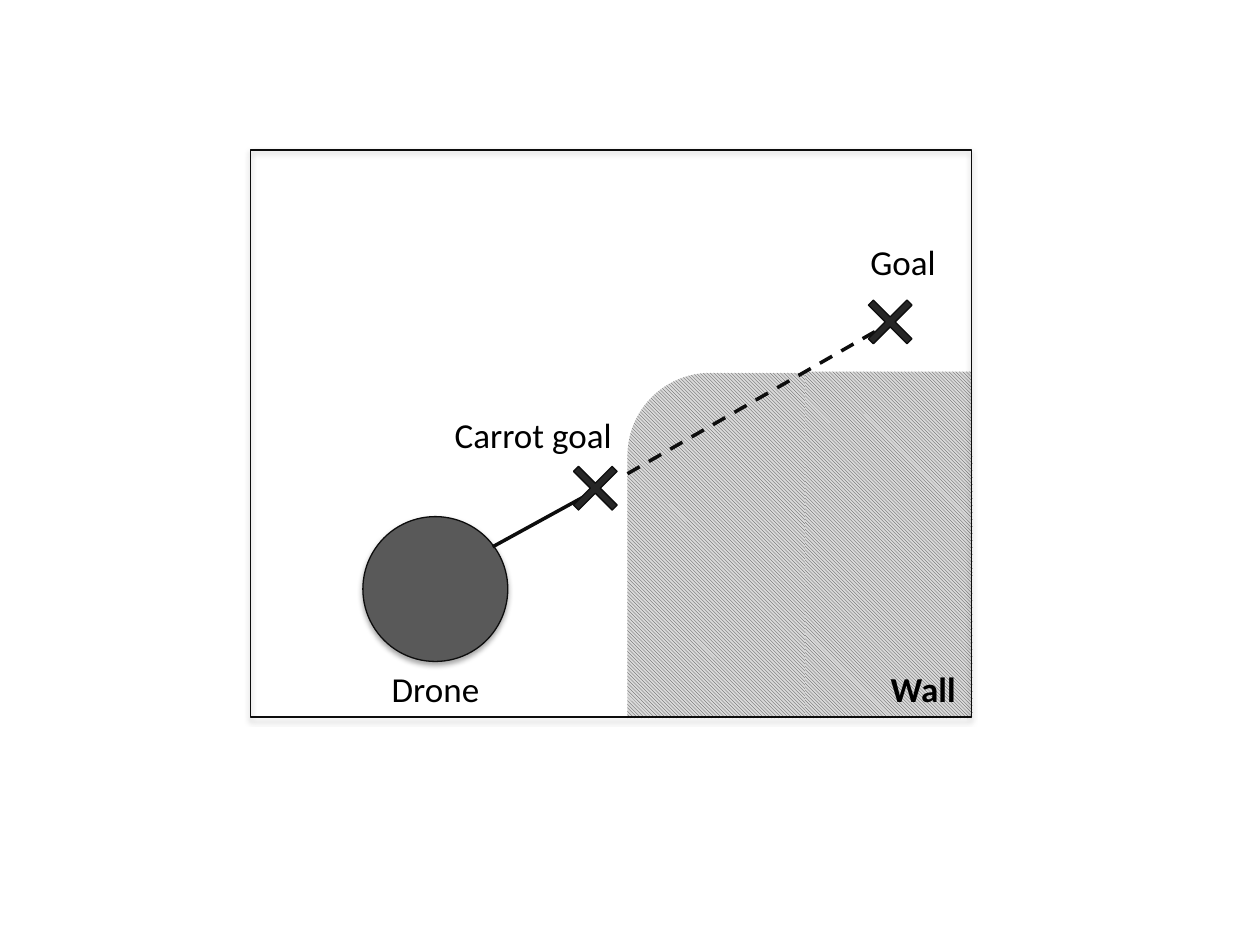
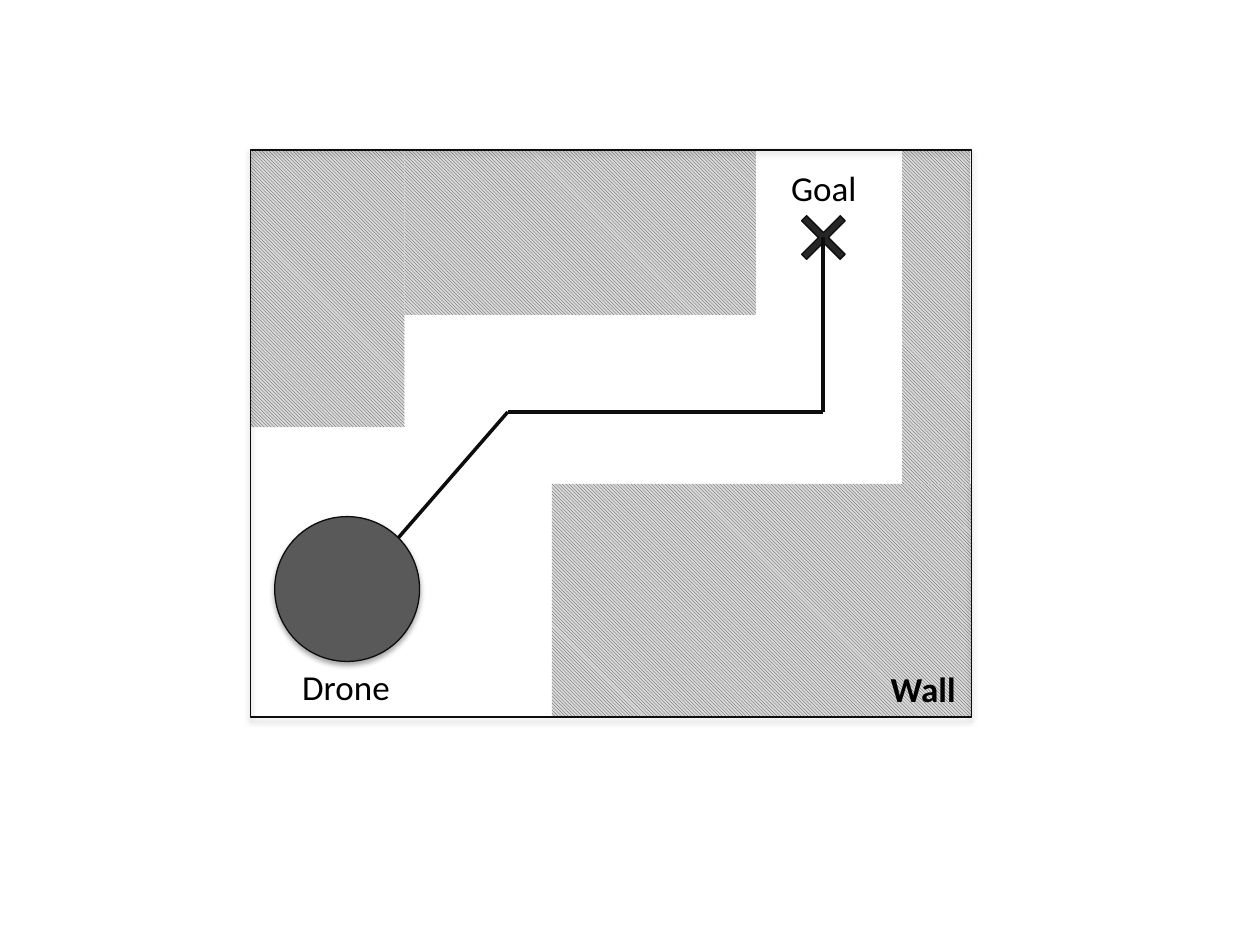
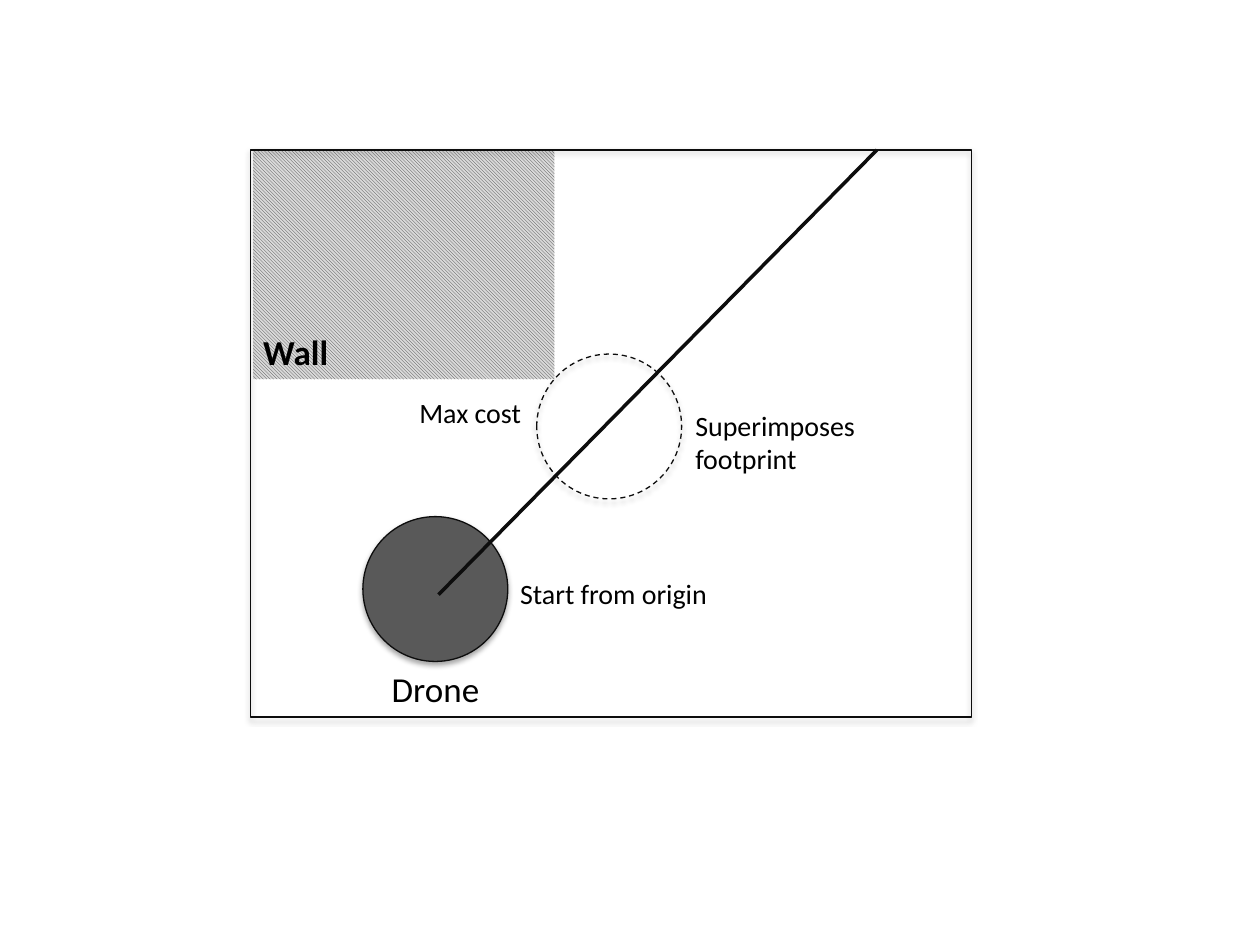
from lxml.etree import SubElement
from pptx import Presentation
from pptx.dml.color import RGBColor
from pptx.enum.dml import MSO_LINE as Dash, MSO_PATTERN as Pattern
from pptx.enum.shapes import MSO_CONNECTOR as Link, MSO_SHAPE as Kind
from pptx.enum.text import MSO_AUTO_SIZE as Fit
from pptx.oxml.ns import qn
from pptx.util import Inches, Pt

INK = RGBColor(0x0D, 0x0D, 0x0D)
BLACK = RGBColor(0, 0, 0)
BODY = RGBColor(0x59, 0x59, 0x59)
CROSS = RGBColor(0x26, 0x26, 0x26)
HATCH = RGBColor(0x40, 0x40, 0x40)
PALE = RGBColor(0xD9, 0xD9, 0xD9)
FONT = "Calibri"

# The room, and the sizes of what stands in it
LEFT, TOP, WIDE, HIGH = 1.99, 1.19, 5.72, 4.5
DISC, MARK = 1.15, 0.59


def draw(slide, kind, box, fill=None, edge=True, shade=False):
    shape = slide.shapes.add_shape(kind, *map(Inches, box))
    shape.shadow.inherit = False
    if fill == HATCH:
        shape.fill.patterned()
        shape.fill.pattern = Pattern.LIGHT_DOWNWARD_DIAGONAL
        shape.fill.fore_color.rgb = HATCH
        shape.fill.back_color.rgb = PALE
    elif fill:
        shape.fill.solid()
        shape.fill.fore_color.rgb = fill
    else:
        shape.fill.background()
    if edge:
        shape.line.color.rgb = INK
        shape.line.width = Pt(0.75)
    else:
        shape.line.fill.background()
    if shade:
        effects = shape._element.spPr.find(qn("a:effectLst"))
        cast = SubElement(effects, qn("a:outerShdw"), blurRad=str(Pt(3.1)),
                          dist=str(Pt(1.8)), dir="5400000", rotWithShape="0")
        tint = SubElement(cast, qn("a:srgbClr"), val="000000")
        SubElement(tint, qn("a:alpha"), val="35000")
    return shape


def join(slide, start, end, dash=None):
    line = slide.shapes.add_connector(Link.STRAIGHT, *map(Inches, start + end))
    SubElement(line._element.spPr, qn("a:effectLst"))
    line.line.color.rgb = INK
    line.line.width = Pt(2)
    if dash:
        line.line.dash_style = dash


deck = Presentation()
deck.slide_width, deck.slide_height = Inches(10), Inches(7.5)

# Walls as (kind, box), the drone's left edge, and labels as
# (text, box, size, bold) for each scene
scenes = [
    ([(Kind.ROUND_2_SAME_RECTANGLE, (4.98, 2.96, 2.74, 2.74)),
      (Kind.RECTANGLE, (6.39, 2.95, 1.32, 2.74))],
     2.88,
     [("Carrot goal", (3.51, 3.23, 1.47, 0.44), 20, False),
      ("Goal", (6.81, 1.86, 0.73, 0.44), 20, False),
      ("Wall", (6.97, 5.25, 0.73, 0.44), 20, True),
      ("Drone", (3.01, 5.25, 0.91, 0.44), 20, False)]),
    ([(Kind.RECTANGLE, (4.38, 3.84, 3.33, 1.85)),
      (Kind.RECTANGLE, (LEFT, TOP, 1.22, 2.2)),
      (Kind.RECTANGLE, (3.21, TOP, 2.79, 1.31)),
      (Kind.RECTANGLE, (7.16, TOP, 0.54, 2.65))],
     2.18,
     [("Wall", (6.97, 5.25, 0.73, 0.44), 20, True),
      ("Drone", (2.3, 5.23, 0.91, 0.44), 20, False),
      ("Goal", (6.18, 1.27, 0.73, 0.44), 20, False)]),
    ([(Kind.RECTANGLE, (2.01, TOP, 2.39, 1.82))],
     2.88,
     [("Drone", (3.01, 5.25, 0.91, 0.44), 20, False),
      ("Start from origin", (4.03, 4.53, 1.71, 0.37), 16, False),
      ("Superimposes\nfootprint", (5.42, 3.19, 1.48, 0.64), 16, False),
      ("Max cost", (3.23, 3.09, 1.03, 0.37), 16, False),
      ("Wall", (LEFT, 2.57, 0.73, 0.44), 20, True)]),
]

# Walls, room, drone and labels
slides = []
for walls, drone, labels in scenes:
    slide = deck.slides.add_slide(deck.slide_layouts[6])
    slides.append(slide)
    for kind, box in walls:
        wall = draw(slide, kind, box, HATCH, edge=False)
        if kind == Kind.ROUND_2_SAME_RECTANGLE:
            wall.adjustments[0] = 0.24
    draw(slide, Kind.RECTANGLE, (LEFT, TOP, WIDE, HIGH), shade=True)
    draw(slide, Kind.OVAL, (drone, 4.1, DISC, DISC), BODY, shade=True)
    for text, box, size, bold in labels:
        frame = slide.shapes.add_textbox(*map(Inches, box)).text_frame
        frame.word_wrap = False
        frame.auto_size = Fit.SHAPE_TO_FIT_TEXT
        for i, part in enumerate(text.split("\n")):
            para = frame.add_paragraph() if i else frame.paragraphs[0]
            run = para.add_run()
            run.text = part
            run.font.name = FONT
            run.font.size = Pt(size)
            run.font.bold = bold
            run.font.color.rgb = BLACK

carrot, route, trace = slides

# Scene 1: straight way to the carrot goal, blocked way to the goal
join(carrot, (3.91, 4.34), (4.73, 3.89))
join(carrot, (4.98, 3.76), (7.07, 2.56), Dash.DASH)

# Goal crosses
for slide, x, y in [(carrot, 4.43, 3.58), (carrot, 6.77, 2.26),
                    (route, 6.24, 1.59)]:
    cross = draw(slide, Kind.MATH_MULTIPLY, (x, y, MARK, MARK), CROSS)
    cross.adjustments[0] = 0.095

# Scene 2: path around the walls
turns = [(3.16, 4.27), (4.03, 3.27), (6.53, 3.27), (6.53, 1.88)]
for start, end in zip(turns, turns[1:]):
    join(route, start, end)

# Scene 3: ray from the drone and the footprint laid over it
join(trace, (3.48, 4.72), (6.96, TOP))
print_ring = draw(trace, Kind.OVAL, (4.26, 2.81, DISC, DISC), shade=True)
print_ring.line.dash_style = Dash.DASH

deck.save("out.pptx")
